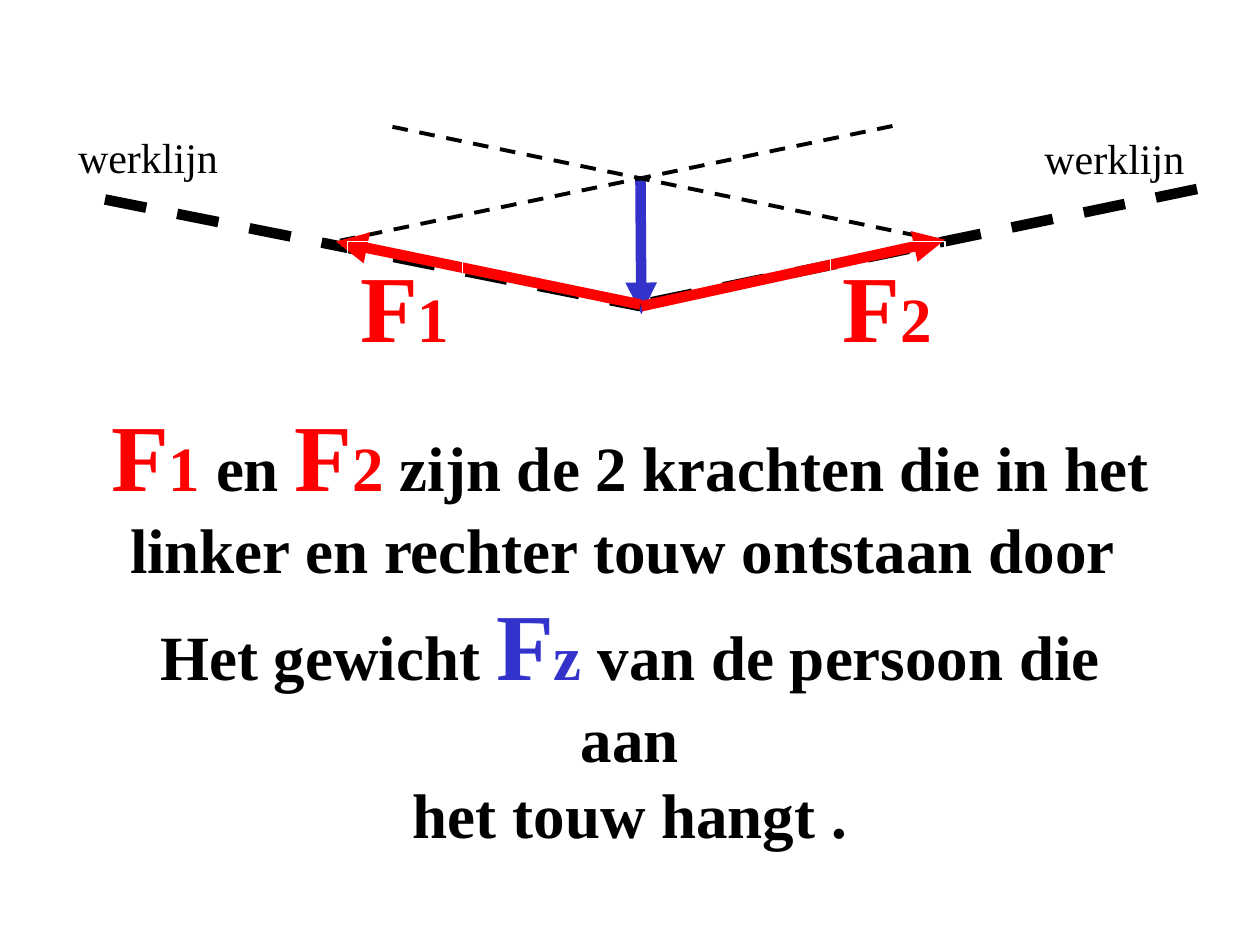
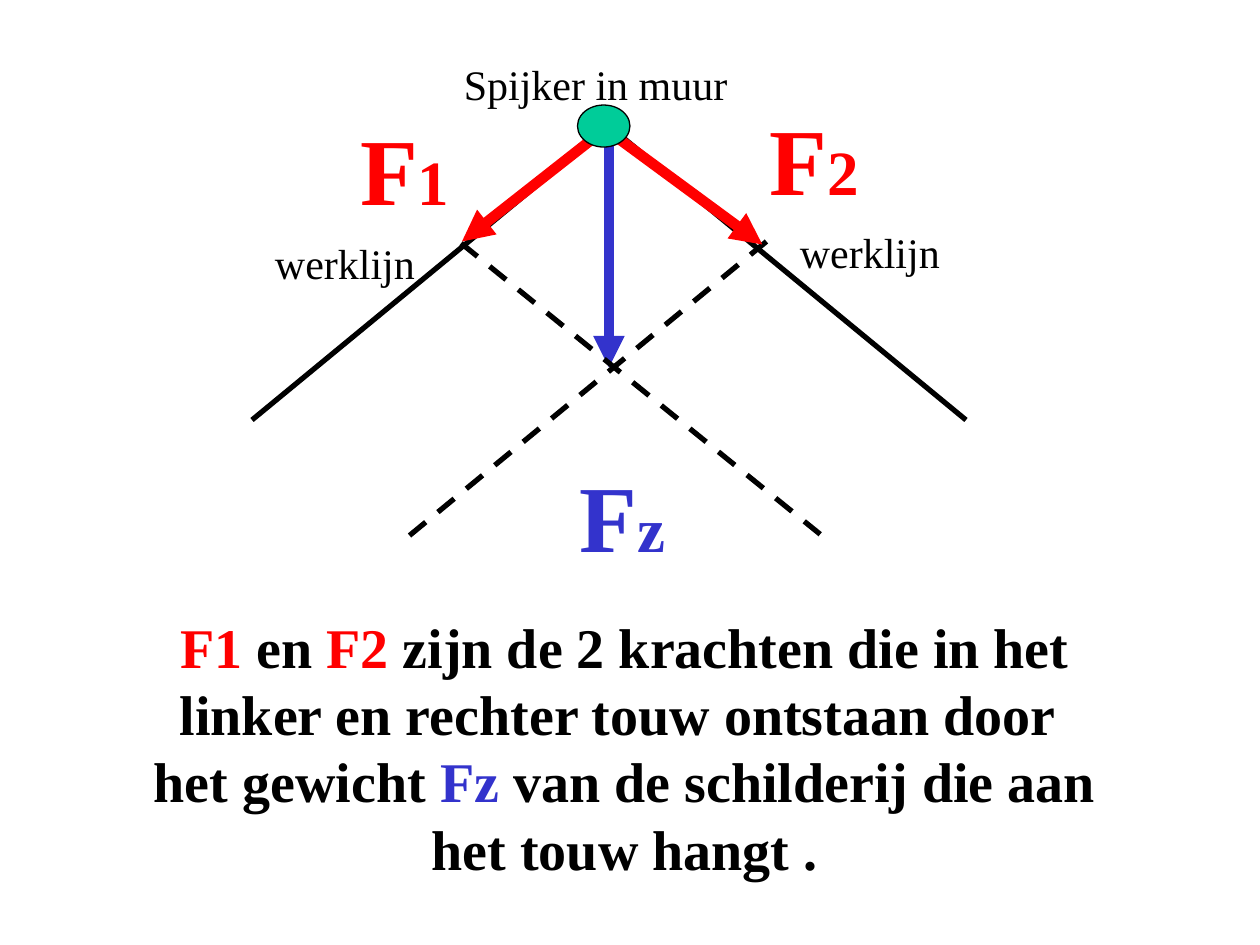
from lxml import etree
from pptx import Presentation
from pptx.dml.color import RGBColor
from pptx.enum.dml import MSO_LINE
from pptx.enum.shapes import MSO_CONNECTOR, MSO_SHAPE
from pptx.enum.text import MSO_ANCHOR, PP_ALIGN
from pptx.oxml.ns import qn
from pptx.util import Pt

STRAIGHT = MSO_CONNECTOR.STRAIGHT
OVAL = MSO_SHAPE.OVAL
DASH = MSO_LINE.DASH
MIDDLE = MSO_ANCHOR.MIDDLE
CENTER = PP_ALIGN.CENTER

FONT = "Times New Roman"
BLACK, WHITE, RED, BLUE, GREEN = "000000", "FFFFFF", "FF0000", "3333CC", "00CC99"
BIG, SMALL = 54, 36
FORCE_WIDTH = 6


def rgb(value):
    return RGBColor.from_string(value)


def add_line(slide, start, end, width, color=BLACK, dashed=False):
    line = slide.shapes.add_connector(STRAIGHT, *map(Pt, start + end))
    line.line.color.rgb = rgb(color)
    line.line.width = Pt(width)
    if dashed:
        line.line.dash_style = DASH
    etree.SubElement(line._element.spPr, qn("a:effectLst"))
    return line


def add_force(slide, start, end, color):
    """Draw a thick force vector with its arrowhead at the end."""
    force = add_line(slide, start, end, FORCE_WIDTH, color)
    etree.SubElement(force.line._get_or_add_ln(), qn("a:tailEnd"), type="triangle")


def add_runs(p, runs):
    """Add (text, size, colour) runs; a newline becomes a line break."""
    p.font.name = FONT
    for text, size, color in runs:
        for i, part in enumerate(text.split("\n")):
            if i:
                p.add_line_break()
            r = p.add_run()
            r.text = part
            r.font.size = Pt(size)
            r.font.color.rgb = rgb(color)


def add_text(slide, box, runs, wrap=True, bold=False):
    sp = slide.shapes.add_textbox(*map(Pt, box))
    tf = sp.text_frame
    tf.word_wrap = wrap
    p = tf.paragraphs[0]
    p.font.bold = bold
    add_runs(p, runs)
    return sp


def add_caption(slide, left, top, text="werklijn", width=130.3, wrap=True):
    add_text(slide, (left, top, width, 36), [(text, 24, BLACK)], wrap)


def force_name(index, color, gap=""):
    return [("F", BIG, color), (index + gap, SMALL, color)]


def add_force_label(slide, left, top, index, color=RED, width=65.5, framed=True):
    sp = add_text(slide, (left, top, width, 72), force_name(index, color),
                  wrap=False, bold=True)
    if framed:
        sp.line.color.rgb = rgb(WHITE)
        sp.line.width = Pt(0.75)


def add_explanation(slide, box, runs, bottom):
    """Add the centred bold text, raised by its bottom inset."""
    sp = add_text(slide, box, runs, bold=True)
    tf = sp.text_frame
    tf.vertical_anchor = MIDDLE
    tf.margin_bottom = Pt(bottom)
    tf.paragraphs[0].alignment = CENTER


def add_nail(slide, box):
    sp = slide.shapes.add_shape(OVAL, *map(Pt, box))
    sp.shadow.inherit = False
    sp.fill.solid()
    sp.fill.fore_color.rgb = rgb(GREEN)
    sp.line.color.rgb = rgb(BLACK)
    sp.line.width = Pt(0.75)


def build_person_slide(slide):
    add_force(slide, (366, 102), (366.5, 179.5), BLUE)
    for start, end, width in (
        ((684, 108), (366, 174), 6),
        ((60, 114), (366, 175), 6),
        ((510, 72), (192, 138), 2.25),
        ((540, 138), (222, 72), 2.25),
    ):
        add_line(slide, start, end, width, dashed=True)
    add_force(slide, (366, 174), (192, 138), RED)
    add_force(slide, (366.5, 175), (540, 137), RED)
    add_caption(slide, 37.5, 71.5)
    add_caption(slide, 589.7, 72)
    add_force_label(slide, 198.7, 138, "1")
    add_force_label(slide, 474.5, 138, "2")
    add_explanation(slide, (54, 264, 612, 222), [
        *force_name("1", RED, " "),
        ("en ", SMALL, BLACK),
        *force_name("2", RED, " "),
        ("zijn de 2 krachten die in het\nlinker en rechter touw ontstaan door \n"
         "Het gewicht ", SMALL, BLACK),
        *force_name("z", BLUE, " "),
        ("van de persoon die aan\nhet touw hangt .", SMALL, BLACK),
    ], bottom=40)


def build_painting_slide(slide):
    add_caption(slide, 258, 30, "Spijker in muur", 170.6, wrap=False)
    nail = (348, 72)
    for rope_end in ((552, 240), (144, 240)):
        add_line(slide, rope_end, nail, 3)
    add_force(slide, nail, (348, 210), BLUE)
    add_caption(slide, 150, 132)
    add_caption(slide, 450, 126)
    add_force_label(slide, 324, 258, "z", BLUE, 63.4, framed=False)
    add_line(slide, (234, 306), (438, 138), 3, dashed=True)
    add_line(slide, (263.5, 139), (468.7, 305.3), 3, dashed=True)
    add_force(slide, nail, (264, 138), RED)
    add_force(slide, (342.7, 71.3), (435.6, 139.7), RED)
    add_force_label(slide, 198.7, 60, "1")
    add_force_label(slide, 432.7, 54, "2")
    add_nail(slide, (330, 60, 30, 24))
    add_explanation(slide, (42, 366, 630, 156), [
        ("F1 ", 32, RED),
        ("en", 32, BLACK),
        (" F2 ", 32, RED),
        ("zijn de 2 krachten die in het\nlinker en rechter touw ontstaan door \n"
         "het gewicht ", 32, BLACK),
        ("Fz ", 32, BLUE),
        ("van de schilderij die aan\nhet touw hangt .", 32, BLACK),
    ], bottom=38)


def main():
    prs = Presentation()
    prs.slide_width, prs.slide_height = Pt(720), Pt(540)
    for build in (build_person_slide, build_painting_slide):
        build(prs.slides.add_slide(prs.slide_layouts[6]))
    prs.save("out.pptx")


if __name__ == "__main__":
    main()
